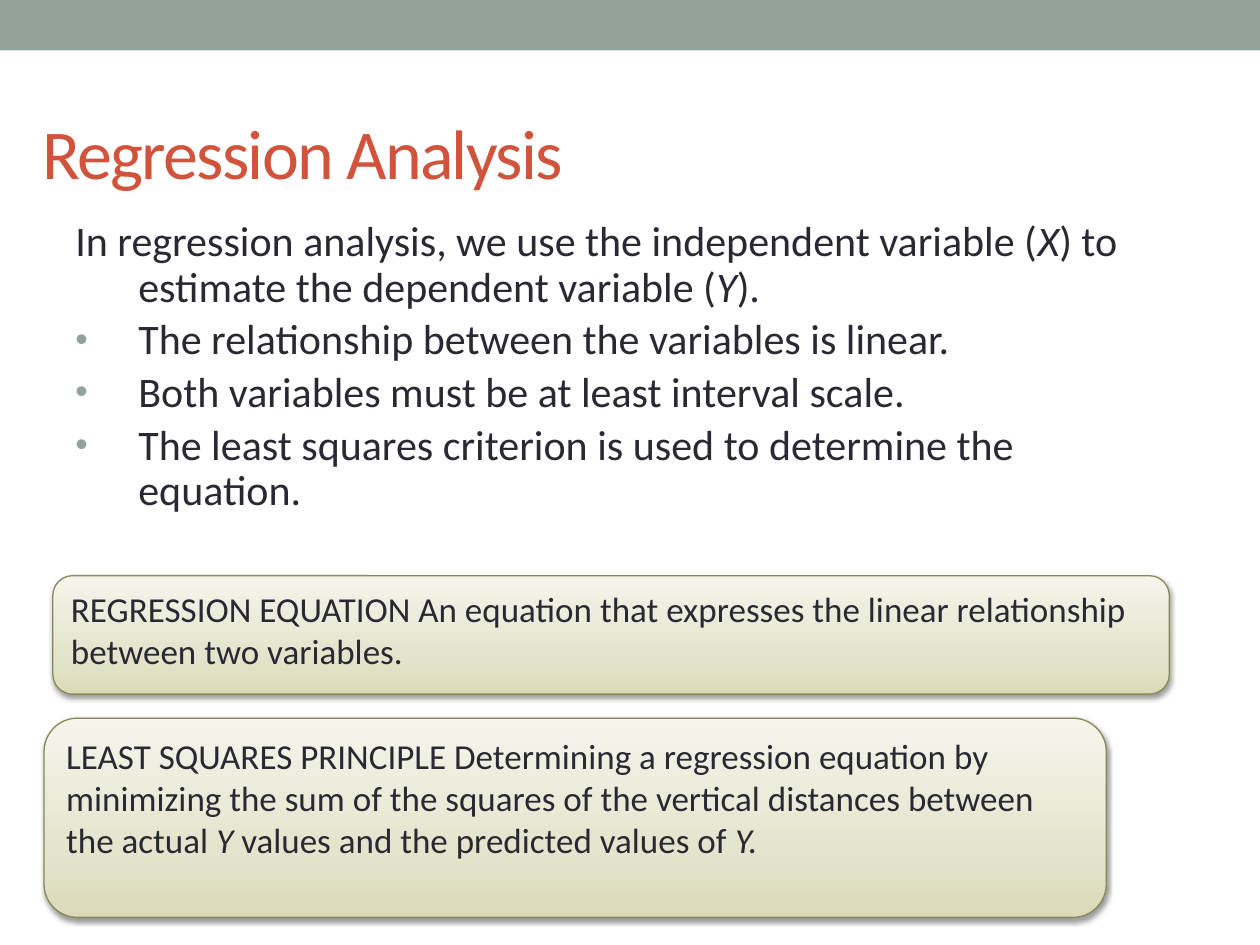
from lxml import etree
from pptx import Presentation
from pptx.dml import color
from pptx.enum import shapes, text
from pptx.oxml import ns
from pptx.util import Pt

COLORS = {
    "band": "93A299",
    "title": "D2533C",
    "body": "292934",
    "outline": "888859",
    "shadow": "000000",
}
GRADIENT = [(0, "DBDBB9"), (35, "E5E5CE"), (100, "F5F5EC")]
FONT = "Calibri"


def rgb(name):
    return color.RGBColor.from_string(COLORS[name])


def add_node(parent, tag, **attributes):
    values = {key: str(value) for key, value in attributes.items()}
    return etree.SubElement(parent, ns.qn(tag), values)


def write_spans(para, pieces, size, color_name):
    for index, piece in enumerate(pieces):
        span = para.add_run()
        span.text = piece
        span.font.name = FONT
        span.font.size = Pt(size)
        span.font.italic = index % 2 == 1
        span.font.color.rgb = rgb(color_name)


def add_text_box(page, left, top, width, height):
    box = page.shapes.add_textbox(Pt(left), Pt(top), Pt(width), Pt(height))
    box.text_frame.word_wrap = True
    return box.text_frame


def add_band(page, left, top, width, height):
    band = page.shapes.add_shape(
        shapes.MSO_SHAPE.RECTANGLE, Pt(left), Pt(top), Pt(width), Pt(height))
    band.shadow.inherit = False
    band.fill.solid()
    band.fill.fore_color.rgb = rgb("band")
    band.line.fill.background()


def add_title(page, left, top, width, height, title):
    frame = add_text_box(page, left, top, width, height)
    frame.vertical_anchor = text.MSO_ANCHOR.MIDDLE
    para = frame.paragraphs[0]
    write_spans(para, [title], 40, "title")
    para.runs[0].font._element.set("spc", "-100")


def add_body(page, left, top, width, height, intro, points):
    frame = add_text_box(page, left, top, width, height)
    for index, pieces in enumerate([intro] + [[point] for point in points]):
        para = frame.add_paragraph() if index else frame.paragraphs[0]
        para.line_spacing = 0.9
        para.space_before = Pt(4.3)
        write_spans(para, pieces, 24, "body")
        properties = para._p.get_or_add_pPr()
        properties.set("marL", str(Pt(36)))
        properties.set("indent", str(Pt(-36)))
        if index:
            bullet_color = add_node(properties, "a:buClr")
            add_node(bullet_color, "a:srgbClr", val=COLORS["band"])
            add_node(properties, "a:buSzPct", val=85000)
            add_node(properties, "a:buFont", typeface="Arial")
            add_node(properties, "a:buChar", char="•")
        else:
            add_node(properties, "a:buNone")


def add_definition(page, left, top, width, height, pieces):
    box = page.shapes.add_shape(
        shapes.MSO_SHAPE.ROUNDED_RECTANGLE,
        Pt(left), Pt(top), Pt(width), Pt(height))
    box.adjustments[0] = 0.167
    box.fill.gradient()
    box.fill.gradient_angle = 90
    stops = box._element.spPr.find(".//" + ns.qn("a:gsLst"))
    for stop in list(stops):
        stops.remove(stop)
    for position, value in GRADIENT:
        stop = add_node(stops, "a:gs", pos=position * 1000)
        add_node(stop, "a:srgbClr", val=value)
    box.line.color.rgb = rgb("outline")
    box.line.width = Pt(0.75)

    box.shadow.inherit = False
    effects = box._element.spPr.find(ns.qn("a:effectLst"))
    shadow = add_node(effects, "a:outerShdw", blurRad=Pt(3.1), dist=Pt(1.6),
                      dir=5400000, rotWithShape=0)
    shade = add_node(shadow, "a:srgbClr", val=COLORS["shadow"])
    add_node(shade, "a:alpha", val=38000)

    frame = box.text_frame
    frame.word_wrap = True
    frame.vertical_anchor = text.MSO_ANCHOR.TOP
    para = frame.paragraphs[0]
    para.alignment = text.PP_ALIGN.LEFT
    write_spans(para, pieces, 20, "body")


def main():
    deck = Presentation()
    deck.slide_width = Pt(720)
    deck.slide_height = Pt(540)
    page = deck.slides.add_slide(deck.slide_layouts[6])

    add_band(page, 0, 0, 720, 28.8)
    add_title(page, 17.3, 50.4, 624, 72, "Regression Analysis")
    add_body(
        page, 36, 122.4, 631.4, 183,
        ["In regression analysis, we use the independent variable (", "X",
         ") to estimate the dependent variable (", "Y", ")."],
        ["The relationship between the variables is linear.",
         "Both variables must be at least interval scale.",
         "The least squares criterion is used to determine the equation."])
    add_definition(
        page, 30.2, 329, 638, 67.7,
        ["REGRESSION EQUATION An equation that expresses the linear "
         "relationship between two variables."])
    add_definition(
        page, 25.2, 410.4, 607, 113.8,
        ["LEAST SQUARES PRINCIPLE Determining a regression equation by "
         "minimizing the sum of the squares of the vertical distances "
         "between the actual ", "Y ", "values and the predicted values of ",
         "Y."])
    deck.save("out.pptx")


if __name__ == "__main__":
    main()
